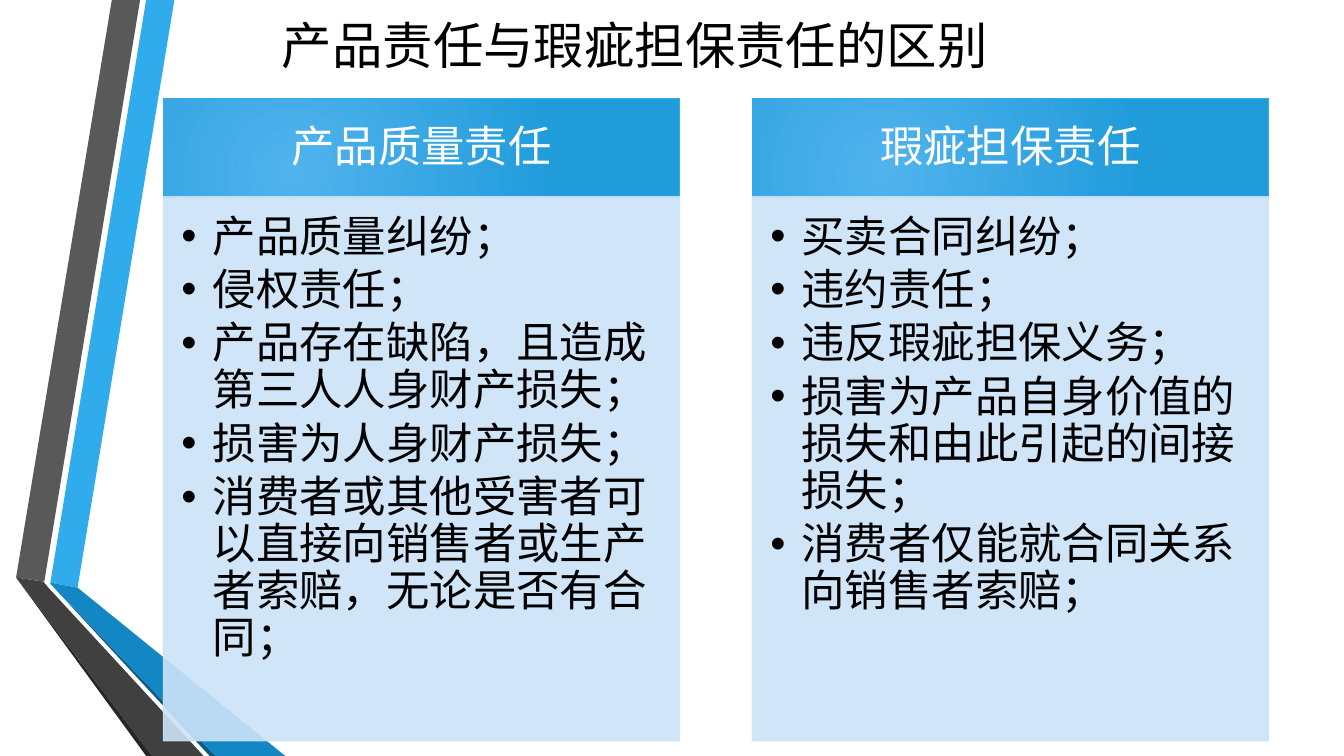
from lxml.etree import SubElement
from pptx import Presentation
from pptx.dml.color import RGBColor
from pptx.enum.shapes import MSO_SHAPE
from pptx.enum.text import MSO_ANCHOR, PP_ALIGN
from pptx.oxml.ns import qn
from pptx.util import Inches, Pt

COLORS = {
    "black": "000000", "white": "FFFFFF", "sky": "30ACEC", "gray": "595959",
    "coal": "262626", "navy": "0C5A82", "blue": "1287C3", "slate": "404040",
    "glow": "51B3ED", "deep": "219CDB", "pale": "CDE3F8",
}


def tint(name):
    return RGBColor.from_string(COLORS[name])


class Deck:
    font = "Lato"

    def __init__(self, width, height):
        self.show = Presentation()
        self.show.slide_width = Inches(width)
        self.show.slide_height = Inches(height)
        self.slide = self.show.slides.add_slide(self.show.slide_layouts[6])

    def band(self, color, points):
        spots = [(Inches(x), Inches(y)) for x, y in points]
        maker = self.slide.shapes.build_freeform(*spots[0])
        maker.add_line_segments(spots[1:], close=True)
        shape = maker.convert_to_shape()
        shape.shadow.inherit = False
        shape.fill.solid()
        shape.fill.fore_color.rgb = tint(color)
        shape.line.fill.background()

    def rect(self, box, line):
        shape = self.slide.shapes.add_shape(
            MSO_SHAPE.RECTANGLE, *[Inches(n) for n in box])
        shape.shadow.inherit = False
        shape.line.color.rgb = tint(line)
        shape.line.width = Pt(0.75)
        return shape

    def label(self, shape, lines, size, color, align, anchor, insets):
        frame = shape.text_frame
        frame.word_wrap = True
        frame.vertical_anchor = anchor
        (frame.margin_left, frame.margin_top, frame.margin_right,
         frame.margin_bottom) = [Inches(n) for n in insets]
        frame.text = "\n".join(lines)
        for para in frame.paragraphs:
            para.alignment = align
            para.line_spacing = 0.9
            for run in para.runs:
                run.font.name = self.font
                run.font.size = Pt(size)
                run.font.color.rgb = tint(color)
        return frame.paragraphs

    def title(self, text, box):
        shape = self.slide.shapes.add_textbox(*[Inches(n) for n in box])
        self.label(shape, [text], 36, "black", PP_ALIGN.CENTER,
                   MSO_ANCHOR.MIDDLE, (0.1, 0.05, 0.1, 0.05))

    def head(self, text, box):
        shape = self.rect(box, "sky")
        shape.fill.gradient()
        for stop, color in zip(shape.fill.gradient_stops, ("glow", "deep")):
            stop.color.rgb = tint(color)
        grad = shape.element.spPr.find(qn("a:gradFill"))
        grad.remove(grad.find(qn("a:lin")))
        focus = SubElement(grad, qn("a:path"), {"path": "circle"})
        SubElement(focus, qn("a:fillToRect"),
                   {"l": "50000", "t": "100000", "r": "100000", "b": "50000"})
        self.label(shape, [text], 31, "white", PP_ALIGN.CENTER,
                   MSO_ANCHOR.MIDDLE, (0.24, 0.14, 0.24, 0.14))

    def body(self, lines, box):
        shape = self.rect(box, "pale")
        shape.fill.solid()
        shape.fill.fore_color.rgb = tint("pale")
        for color in shape.element.spPr.iter(qn("a:srgbClr")):
            SubElement(color, qn("a:alpha"), {"val": "90000"})
        paras = self.label(shape, lines, 31, "black", PP_ALIGN.LEFT,
                           MSO_ANCHOR.TOP, (0.18, 0.18, 0.24, 0.27))
        for para in paras:
            para.space_after = Pt(4.65)
            props = para._p.get_or_add_pPr()
            props.set("marL", str(Inches(0.31)))
            props.set("indent", str(-Inches(0.31)))
            SubElement(props, qn("a:buFont"), {"typeface": "Arial"})
            SubElement(props, qn("a:buChar"), {"char": "•"})


BANDS = [
    ("sky", [(0.5, 5.78), (0.77, 5.83), (1.73, 0), (1.45, 0)]),
    ("gray", [(1.39, 0), (1.11, 0), (0.16, 5.73), (0.44, 5.77)]),
    ("coal", [(0.16, 5.73), (1.45, 7.5), (1.51, 7.5)]),
    ("navy", [(0.5, 5.79), (2.08, 7.5), (2.14, 7.5)]),
    ("blue", [(0.5, 5.79), (2.14, 7.5), (2.83, 7.5), (0.77, 5.83), (0.5, 5.78)]),
    ("slate", [(2.02, 7.5), (0.48, 5.83), (0.43, 5.77), (0.16, 5.73), (1.51, 7.5)]),
]
DUTIES = [
    ("产品质量责任", [
        "产品质量纠纷；",
        "侵权责任；",
        "产品存在缺陷，且造成第三人人身财产损失；",
        "损害为人身财产损失；",
        "消费者或其他受害者可以直接向销售者或生产者索赔，无论是否有合同；",
    ]),
    ("瑕疵担保责任", [
        "买卖合同纠纷；",
        "违约责任；",
        "违反瑕疵担保义务；",
        "损害为产品自身价值的损失和由此引起的间接损失；",
        "消费者仅能就合同关系向销售者索赔；",
    ]),
]
LEFT, STEP, WIDTH = 1.62, 5.84, 5.12

deck = Deck(13.33, 7.5)
for color, points in BANDS:
    deck.band(color, points)
deck.title("产品责任与瑕疵担保责任的区别", (0.95, 0.13, 10.69, 0.7))
for col, (name, lines) in enumerate(DUTIES):
    left = LEFT + col * STEP
    deck.head(name, (left, 0.98, WIDTH, 0.98))
    deck.body(lines, (left, 1.95, WIDTH, 5.4))
deck.show.save("out.pptx")
